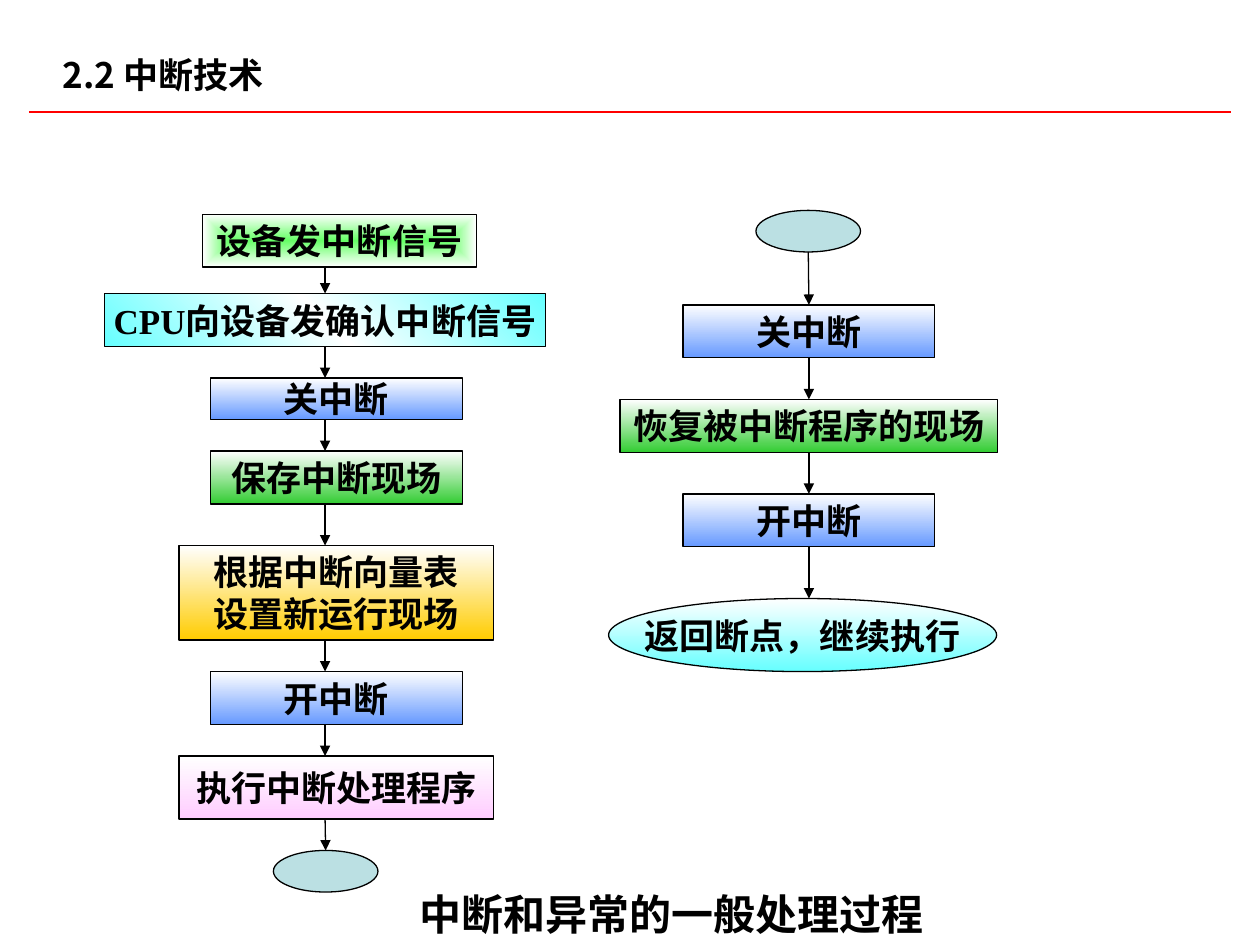
from lxml.etree import SubElement
from pptx import Presentation
from pptx.dml.color import RGBColor
from pptx.enum.shapes import MSO_CONNECTOR as LINE, MSO_SHAPE as SHAPE
from pptx.enum.text import MSO_ANCHOR as ANCHOR, MSO_AUTO_SIZE as AUTO, PP_ALIGN as ALIGN
from pptx.oxml import parse_xml
from pptx.oxml.ns import nsdecls, qn
from pptx.util import Inches, Pt

COLORS = dict(black="000000", white="FFFFFF", red="FF0000", teal="BBE0E3", pink="FFCCFF",
              blue="6699FF", green="33CC33", lime="66FF66", cyan="66FFFF", gold="FFCC00")
CJK_FONT = "Noto Sans CJK SC"
HEADING = "2.2 中断技术"
CAPTION = "中断和异常的一般处理过程"
DOWN = '<a:lin ang="5400000" scaled="1"/>'
DIAGONAL = '<a:lin ang="18900000" scaled="1"/>'
CENTER = '<a:path path="rect"><a:fillToRect l="50000" t="50000" r="50000" b="50000"/></a:path>'

# Each step: text, outline, (left, top, width, height), gradient colours, gradient direction
FLOWS = [
    (2.58, [
        ("设备发中断信号", SHAPE.RECTANGLE, (1.61, 1.7, 2.17, 0.42), ["lime", "white"], CENTER),
        ("CPU向设备发确认中断信号", SHAPE.RECTANGLE, (0.83, 2.33, 3.5, 0.42),
         ["cyan", "white", "cyan"], DIAGONAL),
        ("关中断", SHAPE.RECTANGLE, (1.67, 3, 2, 0.33), ["white", "blue"], DOWN),
        ("保存中断现场", SHAPE.RECTANGLE, (1.67, 3.58, 2, 0.42), ["white", "green"], DOWN),
        ("根据中断向量表\v设置新运行现场", SHAPE.RECTANGLE, (1.42, 4.33, 2.5, 0.75),
         ["white", "gold"], DOWN),
        ("开中断", SHAPE.RECTANGLE, (1.67, 5.33, 2, 0.42), ["white", "blue"], DOWN),
        ("执行中断处理程序", SHAPE.RECTANGLE, (1.42, 6, 2.5, 0.5), ["white", "pink"], DOWN),
        ("", SHAPE.OVAL, (2.17, 6.75, 0.83, 0.33), ["teal"], None),
    ]),
    (6.42, [
        ("", SHAPE.OVAL, (6, 1.67, 0.83, 0.33), ["teal"], None),
        ("关中断", SHAPE.RECTANGLE, (5.42, 2.42, 2, 0.42), ["white", "blue"], DOWN),
        ("恢复被中断程序的现场", SHAPE.RECTANGLE, (4.92, 3.17, 3, 0.42), ["white", "green"], DOWN),
        ("开中断", SHAPE.RECTANGLE, (5.42, 3.92, 2, 0.42), ["white", "blue"], DOWN),
        ("返回断点，继续执行", SHAPE.OVAL, (4.83, 4.75, 3.08, 0.58), ["white", "cyan"], DOWN),
    ]),
]


def color(name):
    """Return the named colour."""
    return RGBColor.from_string(COLORS[name])


def write(shape, text, size=20, font="Times New Roman", align=ALIGN.CENTER,
          anchor=ANCHOR.MIDDLE, wrap=False):
    """Put bold black text into a shape."""
    frame = shape.text_frame
    frame.text = text
    frame.word_wrap, frame.auto_size, frame.vertical_anchor = wrap, AUTO.NONE, anchor
    paragraph = frame.paragraphs[0]
    paragraph.alignment = align
    for run in paragraph.runs:
        run.font.size, run.font.name, run.font.bold = Pt(size), font, True
        run.font.color.rgb = color("black")
        SubElement(run.font._element, qn("a:ea")).set("typeface", CJK_FONT)


def paint(shape, names, direction):
    """Fill a shape with one colour or an evenly spaced gradient."""
    if len(names) == 1:
        shape.fill.solid()
        shape.fill.fore_color.rgb = color(names[0])
        return
    shape.fill.gradient()
    stops = "".join(
        f'<a:gs pos="{100000 * i // (len(names) - 1)}"><a:srgbClr val="{COLORS[name]}"/></a:gs>'
        for i, name in enumerate(names))
    properties = shape._element.spPr
    properties.replace(properties.find(qn("a:gradFill")), parse_xml(
        f'<a:gradFill {nsdecls("a")} rotWithShape="1"><a:gsLst>{stops}</a:gsLst>{direction}</a:gradFill>'))


def add_step(slide, text, outline, box, names, direction):
    """Add one step of a flow."""
    step = slide.shapes.add_shape(outline, *map(Inches, box))
    step.shadow.inherit = False
    step.line.color.rgb, step.line.width = color("black"), Pt(0.75)
    paint(step, names, direction)
    if text:
        write(step, text)
    return step


def add_line(slide, start, end, name="black", width=0.75, arrow=False):
    """Add a straight line, with an optional arrowhead at its end."""
    line = slide.shapes.add_connector(LINE.STRAIGHT, *map(Inches, (*start, *end)))
    line.line.color.rgb, line.line.width = color(name), Pt(width)
    if arrow:
        SubElement(line.line._get_or_add_ln(), qn("a:tailEnd")).set("type", "triangle")
    SubElement(line._element.spPr, qn("a:effectLst"))
    return line


def add_flow(slide, axis, steps):
    """Add a column of steps with arrows running down its axis."""
    shapes = [add_step(slide, *step) for step in steps]
    boxes = [step[2] for step in steps]
    centered = [abs(left + width / 2 - axis) < 0.01 for left, _, width, _ in boxes]
    for i, (above, below) in enumerate(zip(boxes, boxes[1:])):
        arrow = add_line(slide, (axis, above[1] + above[3]), (axis, below[1]), arrow=True)
        if centered[i]:
            arrow.begin_connect(shapes[i], 2)
        if centered[i + 1]:
            arrow.end_connect(shapes[i + 1], 0)


def main():
    """Build the slide."""
    deck = Presentation()
    deck.slide_width, deck.slide_height = Inches(10), Inches(7.5)
    slide = deck.slides.add_slide(deck.slide_layouts[5])
    caption = slide.shapes.title
    caption.left, caption.top, caption.width, caption.height = map(Inches, (0.83, 6.86, 9, 0.64))
    write(caption, CAPTION, size=24, font="Arial", anchor=ANCHOR.BOTTOM, wrap=True)
    for axis, steps in FLOWS:
        add_flow(slide, axis, steps)
    add_line(slide, (0.23, 0.89), (9.77, 0.89), name="red", width=1.5)
    heading = slide.shapes.add_shape(SHAPE.RECTANGLE, *map(Inches, (0.4, 0.42, 5.78, 0.34)))
    heading.shadow.inherit = False
    heading.line.fill.background()
    paint(heading, ["white"], None)
    write(heading, HEADING, font=CJK_FONT, align=ALIGN.LEFT, wrap=True)
    deck.save("out.pptx")


if __name__ == "__main__":
    main()
